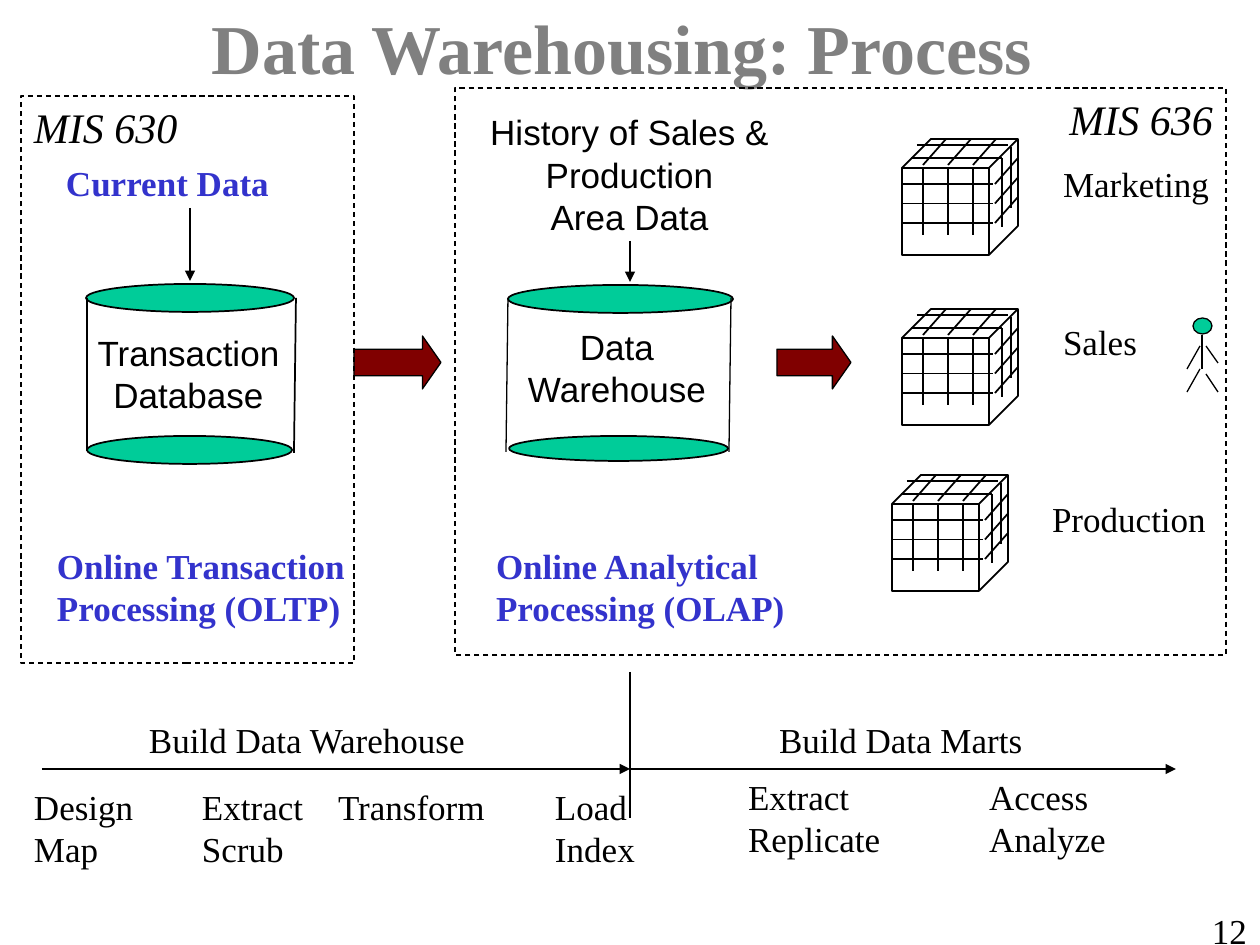
from pptx import Presentation
from pptx.dml.color import RGBColor
from pptx.enum.dml import MSO_LINE
from pptx.enum.shapes import MSO_CONNECTOR, MSO_SHAPE
from pptx.enum.text import MSO_ANCHOR, PP_ALIGN
from pptx.oxml.ns import qn
from pptx.util import Emu, Pt
from lxml import etree

LEFT, MID, RIGHT = PP_ALIGN.LEFT, PP_ALIGN.CENTER, PP_ALIGN.RIGHT
TOP, HALF = MSO_ANCHOR.TOP, MSO_ANCHOR.MIDDLE
OVAL, CUBE = MSO_SHAPE.OVAL, MSO_SHAPE.CUBE
ARROW, RECT = MSO_SHAPE.RIGHT_ARROW, MSO_SHAPE.RECTANGLE
DASH, STRAIGHT = MSO_LINE.DASH, MSO_CONNECTOR.STRAIGHT

SCALE = 914400 / 126
SERIF, SANS = "Times New Roman", "Arial"
HEX = {"ink": "000000", "title": "808080", "blue": "3333CC",
       "green": "00CC99", "red": "800000"}
BLUE = {"hue": "blue", "bold": True}
PLAIN = {"face": SANS, "align": MID}


def px(num):
    return Emu(round(num * SCALE))


def tint(name):
    return RGBColor.from_string(HEX[name])


class Board:
    def __init__(self, deck):
        self.slide = deck.slides.add_slide(deck.slide_layouts[6])
        self.pen = self.slide.shapes

    def group(self):
        self.pen = self.slide.shapes.add_group_shape().shapes

    def close_group(self):
        self.pen = self.slide.shapes

    def label(self, frame, text, size=20, face=SERIF, hue="ink",
              align=LEFT, anchor=TOP, **style):
        for key, val in {"margin_left": px(13), "margin_right": px(13),
                         "margin_top": px(6), "margin_bottom": px(6),
                         "word_wrap": True, "vertical_anchor": anchor}.items():
            setattr(frame, key, val)
        para = frame.paragraphs[0]
        para.text = text
        para.alignment = align
        for run in para.runs:
            run.font.color.rgb = tint(hue)
            for key, val in {"size": Pt(size), "name": face, **style}.items():
                setattr(run.font, key, val)

    def text(self, area, text, **style):
        box = self.pen.add_textbox(*map(px, area))
        self.label(box.text_frame, text, **style)

    def shape(self, kind, area, fill=None, width=1, adjust=()):
        item = self.pen.add_shape(kind, *map(px, area))
        item.shadow.inherit = False
        for spot, val in enumerate(adjust):
            item.adjustments[spot] = val
        if fill:
            item.fill.solid()
            item.fill.fore_color.rgb = tint(fill)
        else:
            item.fill.background()
        item.line.color.rgb = tint("ink")
        item.line.width = Pt(width)
        return item

    def line(self, ends, width=0.75, head=False):
        item = self.pen.add_connector(STRAIGHT, *map(px, ends))
        item.line.color.rgb = tint("ink")
        item.line.width = Pt(width)
        props = item._element.spPr
        if head:
            etree.SubElement(props.find(qn("a:ln")), qn("a:tailEnd"),
                             type="triangle")
        etree.SubElement(props, qn("a:effectLst"))

    def cube(self, left, top):
        self.group()
        self.shape(CUBE, (left, top, 116, 116), adjust=[0.25])
        marks = [(9, 19, 100, 19), (15, 6, 106, 6),
                 (100, 19, 100, 88), (109, 8, 109, 69)]
        for step in range(3):
            col, row = 25 * step, 19.5 * step
            marks += [(0, 45 + row, 91, 45 + row),
                      (44 + col, 0, 21 + col, 26),
                      (116, 19 + row, 93, 45 + row),
                      (21 + col, 30, 21 + col, 96)]
        for x1, y1, x2, y2 in marks:
            self.line((left + x1, top + y1, left + x2, top + y2), 1)
        self.close_group()

    def store(self, lids, sides, width):
        for lid in lids:
            self.shape(OVAL, lid, "green")
        for side in sides:
            self.line(side, width)

    def user(self):
        self.group()
        self.shape(OVAL, (1193, 318, 19, 16), "green", 0.75)
        for limb in [(1202, 335, 1202, 369), (1200, 369, 1187, 392),
                     (1200, 346, 1187, 369), (1206, 346, 1218, 363),
                     (1206, 374, 1218, 392)]:
            self.line(limb)
        self.close_group()

    def frame(self, area, text, align):
        item = self.shape(RECT, area, width=0.75)
        item.line.dash_style = DASH
        self.label(item.text_frame, text, size=24, align=align, italic=True)


def main():
    deck = Presentation()
    deck.slide_width, deck.slide_height = px(1260), px(945)
    board = Board(deck)

    board.text((199, 10, 1061, 73), "Data Warehousing: Process",
               size=40, hue="title", bold=True, anchor=HALF)
    board.text((1081, 903, 179, 42), "12", align=RIGHT)

    board.store([(86, 284, 208, 28), (87, 436, 205, 28)],
                [(87, 298, 87, 451), (296, 298, 294, 453)], 1)
    board.store([(508, 285, 225, 28), (509, 436, 219, 25)],
                [(508, 298, 506, 452), (731, 298, 729, 452)], 0.75)
    board.text((34, 325, 309, 97), "Transaction\vDatabase", **PLAIN)
    board.text((486, 319, 262, 97), "Data Warehouse", **PLAIN)
    board.text((451, 105, 357, 139),
               "History of Sales & Production\vArea Data", **PLAIN)

    for left, width in [(354, 87), (777, 74)]:
        board.shape(ARROW, (left, 336, width, 53), "red", 0.75, [0.5, 0.35])
    for spot in [(902, 139), (902, 309), (892, 475)]:
        board.cube(*spot)
    for left, top, name in [(1050, 156, "Marketing"), (1050, 314, "Sales"),
                            (1039, 491, "Production")]:
        board.text((left, top, 220, 55), name)
    board.user()

    board.text((53, 155, 294, 55), "Current Data", **BLUE)
    board.text((44, 538, 399, 97), "Online Transaction Processing (OLTP)",
               **BLUE)
    board.text((483, 538, 399, 97), "Online Analytical Processing (OLAP)",
               **BLUE)

    board.line((630, 672, 630, 818))
    for ends in [(42, 769, 630, 769), (630, 769, 1176, 769),
                 (190, 208, 190, 281), (630, 241, 630, 282)]:
        board.line(ends, head=True)
    board.text((136, 712, 451, 55), "Build Data Warehouse")
    board.text((766, 712, 336, 55), "Build Data Marts")
    for left, top, step in [
            (21, 779, "Design\vMap"), (189, 779, "Extract\vScrub"),
            (325, 779, "Transform"), (542, 779, "Load\vIndex"),
            (735, 769, "Extract\vReplicate"), (976, 769, "Access\vAnalyze")]:
        board.text((left, top, 210, 97), step)

    board.frame((21, 96, 333, 567), "MIS 630", LEFT)
    board.frame((455, 88, 771, 567), "MIS 636", RIGHT)
    deck.save("out.pptx")


if __name__ == "__main__":
    main()
